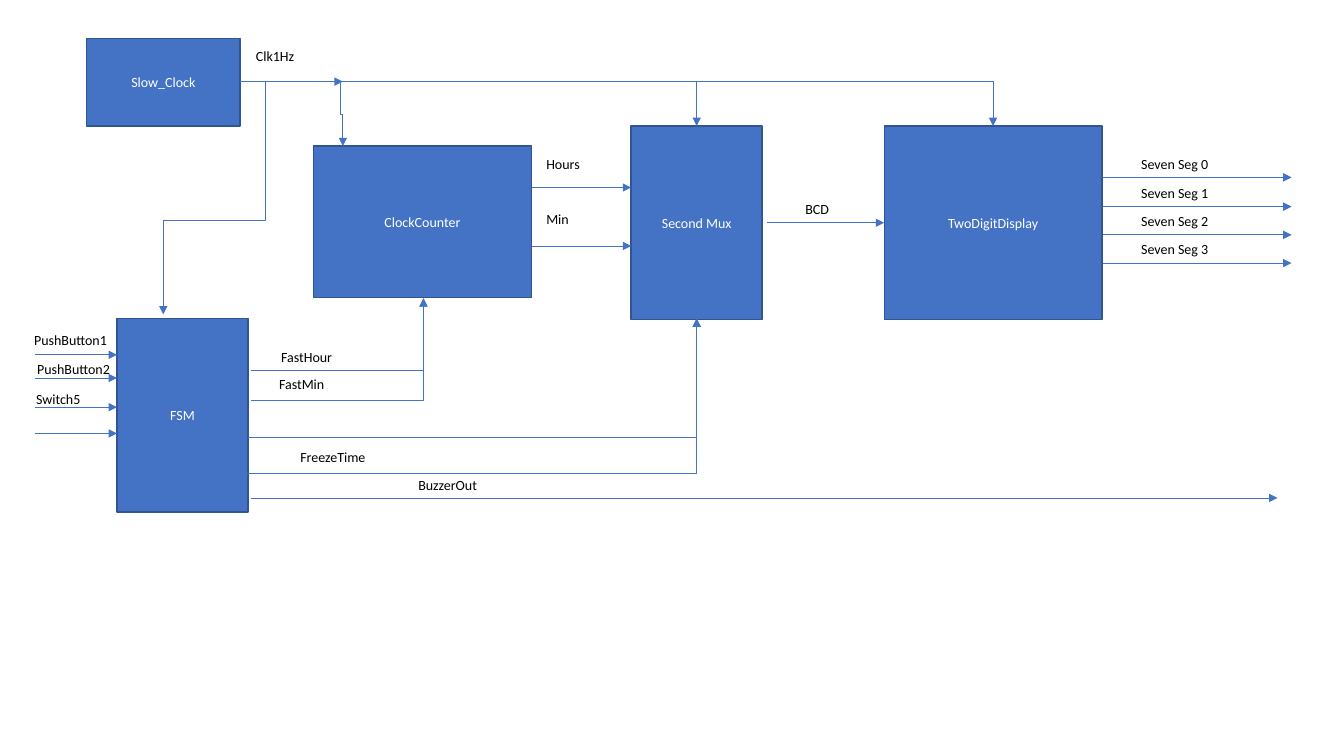
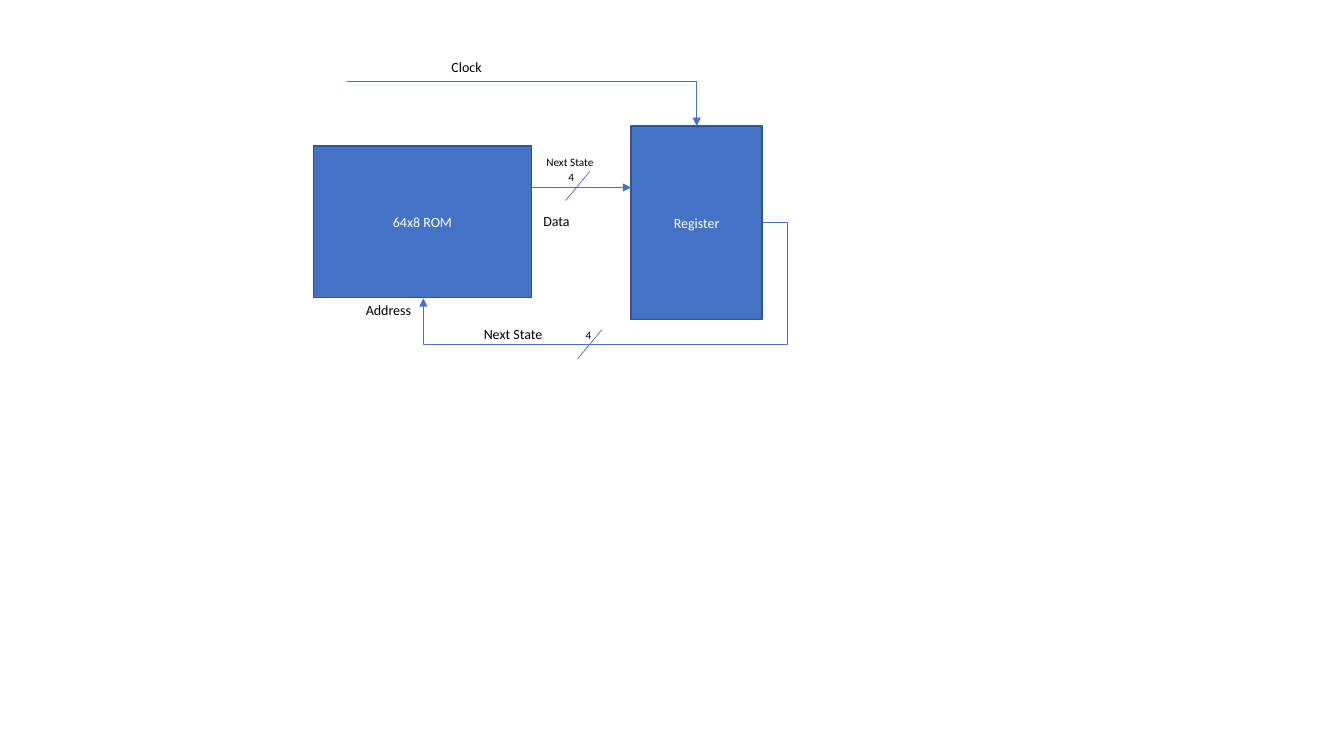
from typing import NamedTuple

from lxml.etree import SubElement as add_sub
from pptx import Presentation
from pptx.dml.color import RGBColor
from pptx.enum.shapes import MSO_CONNECTOR as Link, MSO_SHAPE as Form
from pptx.enum.text import MSO_ANCHOR as Anchor, MSO_AUTO_SIZE as Fit, PP_ALIGN as Align
from pptx.oxml.ns import qn
from pptx.slide import Slide
from pptx.text.text import TextFrame
from pptx.util import Inches, Pt

# Shared look
BLUE = RGBColor(0x44, 0x72, 0xC4)
NAVY = RGBColor(0x32, 0x54, 0x91)
WHITE = RGBColor(0xFF, 0xFF, 0xFF)
BLACK = RGBColor(0, 0, 0)
FONT = "Calibri"

# Routes of a wire
LINE = "line"
TURN = "bentConnector2"
STEP = "bentConnector3"
LOOP = "bentConnector4"


class Box(NamedTuple):
    text: str
    left: float
    top: float
    width: float
    height: float


class Label(NamedTuple):
    text: str
    left: float
    top: float
    width: float = 1.45
    size: int = 10


class Wire(NamedTuple):
    x1: float
    y1: float
    x2: float
    y2: float
    route: str = LINE
    bends: tuple[float, ...] = ()
    arrow: bool = True


def write(frame: TextFrame, text: str, size: int, color: RGBColor) -> None:
    run = frame.paragraphs[0].add_run()
    run.text = text
    run.font.name = FONT
    run.font.size = Pt(size)
    run.font.color.rgb = color


def draw_box(slide: Slide, box: Box) -> None:
    shape = slide.shapes.add_shape(Form.RECTANGLE, *map(Inches, box[1:]))
    shape.shadow.inherit = False
    shape.fill.solid()
    shape.fill.fore_color.rgb = BLUE
    shape.line.color.rgb = NAVY
    shape.line.width = Pt(1)
    frame = shape.text_frame
    frame.vertical_anchor = Anchor.MIDDLE
    frame.paragraphs[0].alignment = Align.CENTER
    write(frame, box.text, 10, WHITE)


def draw_label(slide: Slide, label: Label) -> None:
    height = 0.27 if label.size == 10 else 0.24
    spot = map(Inches, (label.left, label.top, label.width, height))
    frame = slide.shapes.add_textbox(*spot).text_frame
    frame.word_wrap = True
    frame.auto_size = Fit.SHAPE_TO_FIT_TEXT
    write(frame, label.text, label.size, BLACK)


def draw_wire(slide: Slide, wire: Wire) -> None:
    ends = wire[:4]
    if wire.route == STEP:  # lies on its side, then turns a quarter
        mid_x, mid_y = (wire.x1 + wire.x2) / 2, (wire.y1 + wire.y2) / 2
        half_w, half_h = (wire.x2 - wire.x1) / 2, (wire.y2 - wire.y1) / 2
        ends = (mid_x + half_h, mid_y - half_w, mid_x - half_h, mid_y + half_w)
    kind = Link.STRAIGHT if wire.route == LINE else Link.ELBOW
    link = slide.shapes.add_connector(kind, *map(Inches, ends))
    link.line.color.rgb = BLUE
    link.line.width = Pt(0.5)

    props = link.element.spPr
    if wire.route == STEP:
        props.find(qn("a:xfrm")).set("rot", str(270 * 60000))
    if wire.route != LINE:
        geom = props.find(qn("a:prstGeom"))
        geom.set("prst", wire.route)
        for i, bend in enumerate(wire.bends, 1):
            add_sub(geom.find(qn("a:avLst")), qn("a:gd"),
                    name=f"adj{i}", fmla=f"val {round(bend * 100000)}")
    if wire.arrow:
        add_sub(props.find(qn("a:ln")), qn("a:tailEnd"), type="triangle")
    add_sub(props, qn("a:effectLst"))


def draw(slide: Slide, boxes: list[Box], wires: list[Wire], labels: list[Label]) -> None:
    for box in boxes:
        draw_box(slide, box)
    for wire in wires:
        draw_wire(slide, wire)
    for label in labels:
        draw_label(slide, label)


def left_block(text: str) -> Box:
    return Box(text, 3.11, 1.45, 2.16, 1.5)


def mid_block(text: str) -> Box:
    return Box(text, 6.26, 1.25, 1.3, 1.92)


# Wires found on both slides
CLOCK = Wire(3.44, 0.81, 6.91, 1.25, TURN)
DATA = Wire(5.28, 1.86, 6.26, 1.86)

deck = Presentation()
deck.slide_width = Inches(13.33)
deck.slide_height = Inches(7.5)
blank = deck.slide_layouts[6]

# Slide 1: clock system
boxes = [
    Box("FSM", 1.16, 3.16, 1.3, 1.92),
    Box("TwoDigitDisplay", 8.77, 1.25, 2.16, 1.92),
    left_block("ClockCounter"),
    mid_block("Second Mux"),
    Box("Slow_Clock", 0.86, 0.38, 1.52, 0.87),
]
wires = [
    # Clock lines
    Wire(2.42, 0.81, 3.4, 0.81),
    Wire(3.38, 0.82, 3.4, 1.45, STEP),
    CLOCK,
    Wire(2.38, 0.81, 9.85, 1.25, TURN),
    Wire(2.38, 0.81, 1.62, 3.12, LOOP, (-0.329, 0.594)),
    # Time data
    DATA,
    Wire(5.28, 2.44, 6.26, 2.44),
    Wire(7.61, 2.21, 8.77, 2.21),
    # State machine outputs
    Wire(2.49, 3.67, 4.2, 2.96, TURN),
    Wire(2.49, 3.97, 4.2, 2.96, TURN),
    Wire(2.46, 4.34, 6.91, 3.16, TURN),
    Wire(2.43, 4.7, 6.91, 3.16, TURN),
    Wire(2.49, 4.94, 12.67, 4.94),
]
wires += [Wire(0.35, y, 1.16, y) for y in (3.52, 3.75, 4.04, 4.3)]
labels = [
    Label("Clk1Hz", 2.44, 0.42, 0.94),
    Label("Hours", 5.32, 1.49, 0.94),
    Label("Min", 5.32, 2.04, 0.94),
    Label("BCD", 7.89, 1.94, 0.74),
    Label("PushButton1", 0.24, 3.24, 1.61),
    Label("PushButton2", 0.27, 3.53, 1.61),
    Label("Switch5", 0.26, 3.83, 1.61),
    Label("FastHour", 2.69, 3.41),
    Label("FastMin", 2.67, 3.68),
    Label("FreezeTime", 2.88, 4.4),
    Label("BuzzerOut", 4.05, 4.68, 7.92),
]
for i, y in enumerate((1.76, 2.05, 2.33, 2.61)):
    wires.append(Wire(10.94, y, 12.81, y))
    labels.append(Label(f"Seven Seg {i}", 11.22, y - 0.27))
draw(deck.slides.add_slide(blank), boxes, wires, labels)

# Slide 2: state machine
boxes = [left_block("64x8 ROM"), mid_block("Register")]
wires = [
    CLOCK,
    DATA,
    Wire(7.56, 2.21, 4.2, 2.96, LOOP, (-0.074, 1.607)),
    # Bus width slashes
    Wire(5.85, 1.7, 5.61, 1.99, arrow=False),
    Wire(5.97, 3.27, 5.73, 3.56, arrow=False),
]
labels = [
    Label("Next State", 5.32, 1.49, 0.94, 8),
    Label("4", 5.54, 1.64, 0.24, 8),
    Label("Clock", 4.38, 0.53, 0.94),
    Label("Data", 5.29, 2.06, 0.94),
    Label("Address", 3.53, 2.94, 0.94),
    Label("Next State", 4.7, 3.18, 0.94),
    Label("4", 5.71, 3.21, 0.24, 8),
]
draw(deck.slides.add_slide(blank), boxes, wires, labels)

deck.save("out.pptx")
